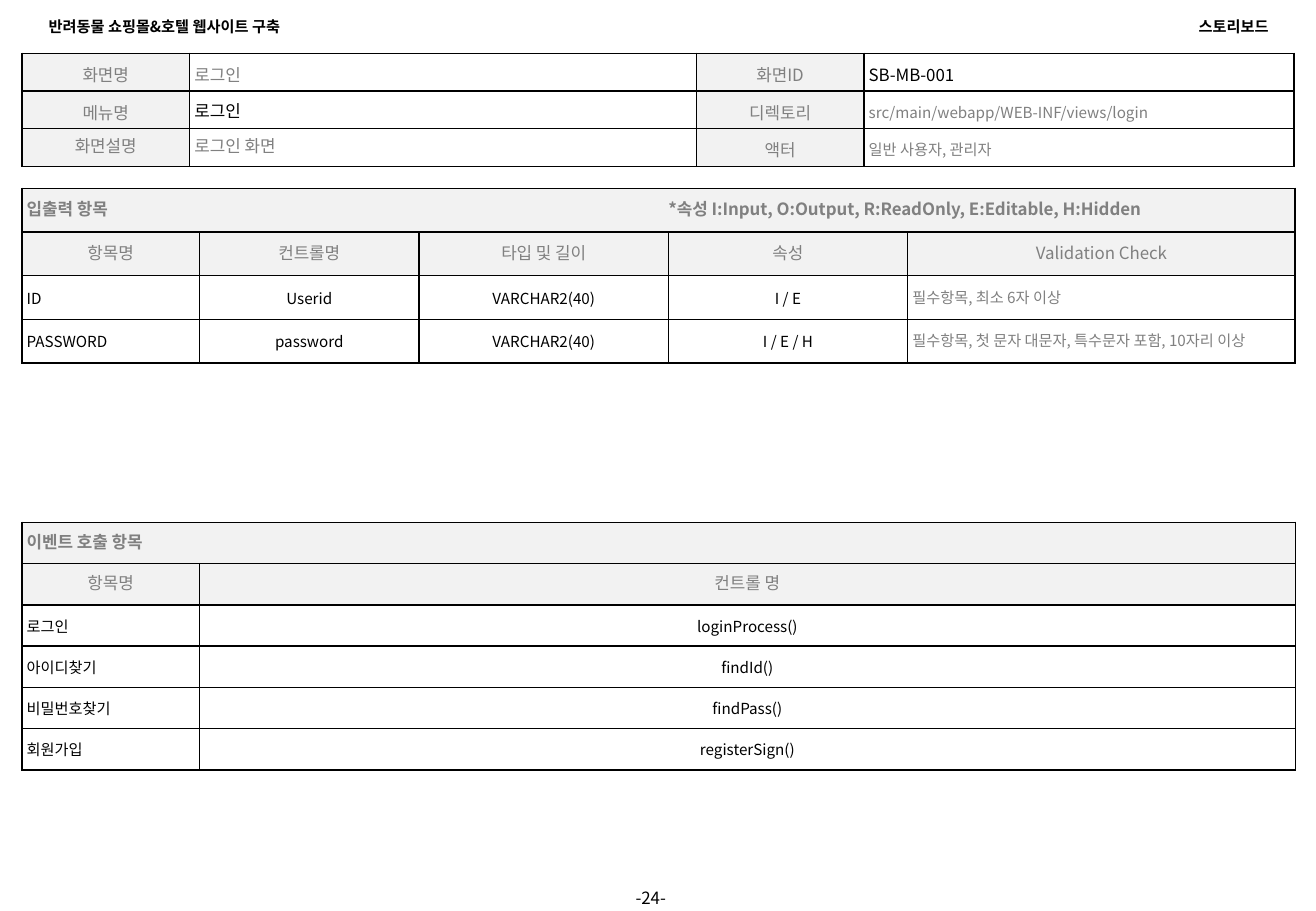
import lxml.etree
import pptx
import pptx.dml.color
import pptx.enum.text
import pptx.oxml.ns
import pptx.util

Inches = pptx.util.Inches
Pt = pptx.util.Pt
ALIGN = pptx.enum.text.PP_ALIGN
FONT = "Noto Sans CJK KR"
BLACK, GRAY, SHADE = "000000", "808080", "F2F2F2"
INSET = 0.04
TABLE_LEFT = 0.18

# Cell styles
SPACED = dict(line=1.15, gap=3)
FIXED = dict(line=Pt(12))
HEADING = dict(FIXED, size=10, color=GRAY, bold=True, fill=SHADE)
COLUMN = dict(HEADING, bold=False, align=ALIGN.CENTER)
VALUE = dict(size=9)
CENTERED = dict(VALUE, align=ALIGN.CENTER)
CHECK = dict(FIXED, size=9, color=GRAY)
LABEL = dict(SPACED, size=10, color=GRAY, align=ALIGN.CENTER, fill=SHADE)
INFO = dict(SPACED, size=10, color=GRAY)
SMALL_INFO = dict(INFO, size=9)


def rgb(value):
    return pptx.dml.color.RGBColor.from_string(value)


def add_xml(parent, tag, **attributes):
    return lxml.etree.SubElement(parent, pptx.oxml.ns.qn(tag), attributes)


def write(frame, text, size, color=BLACK, bold=False, align=ALIGN.LEFT,
          line=None, gap=None, tab=None):
    para = frame.paragraphs[0]
    para.alignment = align
    if line is not None:
        para.line_spacing = line
    if gap is not None:
        para.space_before = para.space_after = Pt(gap)
    if tab is not None:
        stops = add_xml(para._p.get_or_add_pPr(), "a:tabLst")
        add_xml(stops, "a:tab", pos=str(Inches(tab)), algn="l")
    span = para.add_run()
    span.text = text
    span.font.name = FONT
    span.font.size = Pt(size)
    span.font.bold = bold
    span.font.color.rgb = rgb(color)
    add_xml(span._r.get_or_add_rPr(), "a:ea", typeface=FONT)


def set_inset(target, inset):
    target.margin_left = target.margin_right = Inches(inset)
    target.margin_top = target.margin_bottom = Inches(inset)


def fill_box(box, place, text, size, **style):
    box.left, box.top, box.width, box.height = map(Inches, place)
    frame = box.text_frame
    frame.word_wrap = True
    frame.auto_size = pptx.enum.text.MSO_AUTO_SIZE.NONE
    frame.vertical_anchor = pptx.enum.text.MSO_ANCHOR.MIDDLE
    set_inset(frame, INSET)
    write(frame, text, size, **style)


def add_text(page, place, text, size, **style):
    box = page.shapes.add_textbox(*map(Inches, place))
    fill_box(box, place, text, size, **style)


def set_borders(cell):
    properties = cell._tc.get_or_add_tcPr()
    for side in ("a:lnL", "a:lnR", "a:lnT", "a:lnB"):
        border = add_xml(properties, side, w=str(Pt(1)))
        add_xml(add_xml(border, "a:solidFill"), "a:srgbClr", val=BLACK)


def fill_cell(cell, text, fill=None, **style):
    cell.vertical_anchor = pptx.enum.text.MSO_ANCHOR.MIDDLE
    set_inset(cell, INSET)
    set_borders(cell)
    if fill:
        cell.fill.solid()
        cell.fill.fore_color.rgb = rgb(fill)
    else:
        cell.fill.background()
    if text:
        write(cell.text_frame, text, **style)


def add_grid(page, top, widths, row_height, rows, heading=None):
    """Each row lists (text, style) pairs; a heading spans a first row."""
    if heading:
        blank = ("", dict(fill=SHADE))
        rows = [[heading] + [blank] * (len(widths) - 1)] + rows
    shape = page.shapes.add_table(
        len(rows), len(widths), Inches(TABLE_LEFT), Inches(top),
        Inches(sum(widths)), Inches(row_height * len(rows)))
    table = shape.table
    table.first_row = table.horz_banding = False
    for column, width in zip(table.columns, widths):
        column.width = Inches(width)
    for index, row in enumerate(rows):
        table.rows[index].height = Inches(row_height)
        for place, (text, style) in enumerate(row):
            fill_cell(table.cell(index, place), text, **style)
    if heading:
        table.cell(0, 0).merge(table.cell(0, len(widths) - 1))


def styled(texts, styles):
    return list(zip(texts, styles))


def add_screen_table(page):
    rows = [
        styled(["화면명", "로그인", "화면ID", "SB-MB-001"],
               [LABEL, INFO, LABEL, dict(INFO, color=BLACK)]),
        styled(["메뉴명", "로그인", "디렉토리",
                "src/main/webapp/WEB-INF/views/login"],
               [LABEL, dict(size=10), LABEL, SMALL_INFO]),
        styled(["화면설명", "로그인 화면", "액터", "일반 사용자, 관리자"],
               [COLUMN, dict(FIXED, size=10, color=GRAY), LABEL, SMALL_INFO]),
    ]
    add_grid(page, 0.44, [1.38, 4.17, 1.38, 3.54], 0.27, rows)


def add_field_table(page):
    columns = ["항목명", "컨트롤명", "타입 및 길이", "속성", "Validation Check"]
    fields = [
        ["ID", "Userid", "VARCHAR2(40)", "I / E", "필수항목, 최소 6자 이상"],
        ["PASSWORD", "password", "VARCHAR2(40)", "I / E / H",
         "필수항목, 첫 문자 대문자, 특수문자 포함, 10자리 이상"],
    ]
    rows = [styled(columns, [COLUMN] * 5)]
    rows += [styled(field, [VALUE] + [CENTERED] * 3 + [CHECK])
             for field in fields]
    title = "입출력 항목\t*속성 I:Input, O:Output, R:ReadOnly, E:Editable, H:Hidden"
    add_grid(page, 1.55, [1.46, 1.81, 2.05, 1.97, 3.19], 0.36, rows,
             (title, dict(HEADING, tab=5.28)))


def add_event_table(page):
    events = [["로그인", "loginProcess()"], ["아이디찾기", "findId()"],
              ["비밀번호찾기", "findPass()"], ["회원가입", "registerSign()"]]
    rows = [styled(["항목명", "컨트롤 명"], [COLUMN] * 2)]
    rows += [styled(event, [VALUE, CENTERED]) for event in events]
    add_grid(page, 4.3, [1.46, 9.02], 0.34, rows, ("이벤트 호출 항목", HEADING))


def main():
    deck = pptx.Presentation()
    deck.slide_width, deck.slide_height = Inches(10.83), Inches(7.5)
    page = deck.slides.add_slide(deck.slide_layouts.get_by_name("Title Only"))

    # Running header and page number
    fill_box(page.shapes.title, (0.36, 0.09, 2.93, 0.25),
             "반려동물 쇼핑몰&호텔 웹사이트 구축", 9, bold=True)
    add_text(page, (7.55, 0.09, 2.93, 0.25), "스토리보드", 9, bold=True,
             align=ALIGN.RIGHT)
    add_text(page, (4.96, 7.31, 0.79, 0.16), "-24-", 10, align=ALIGN.CENTER)

    # Storyboard tables
    add_screen_table(page)
    add_field_table(page)
    add_event_table(page)
    deck.save("out.pptx")


main()
